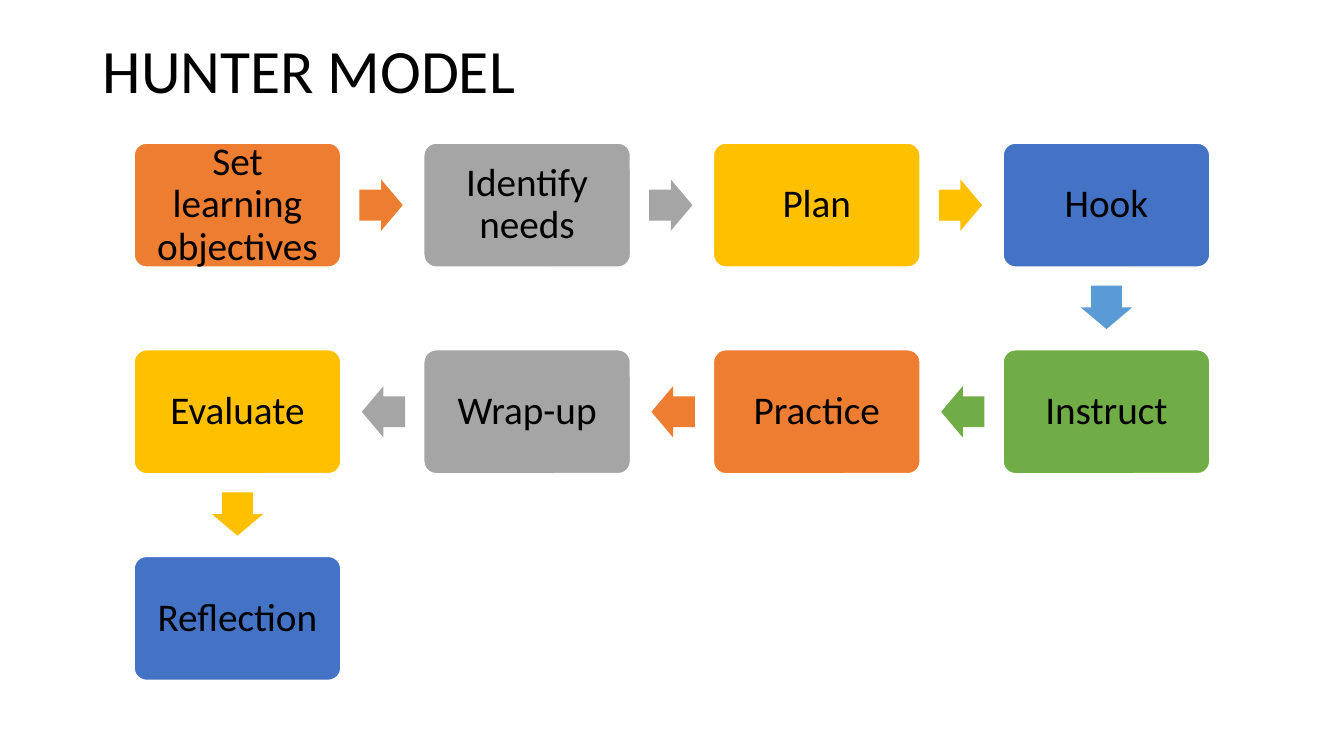
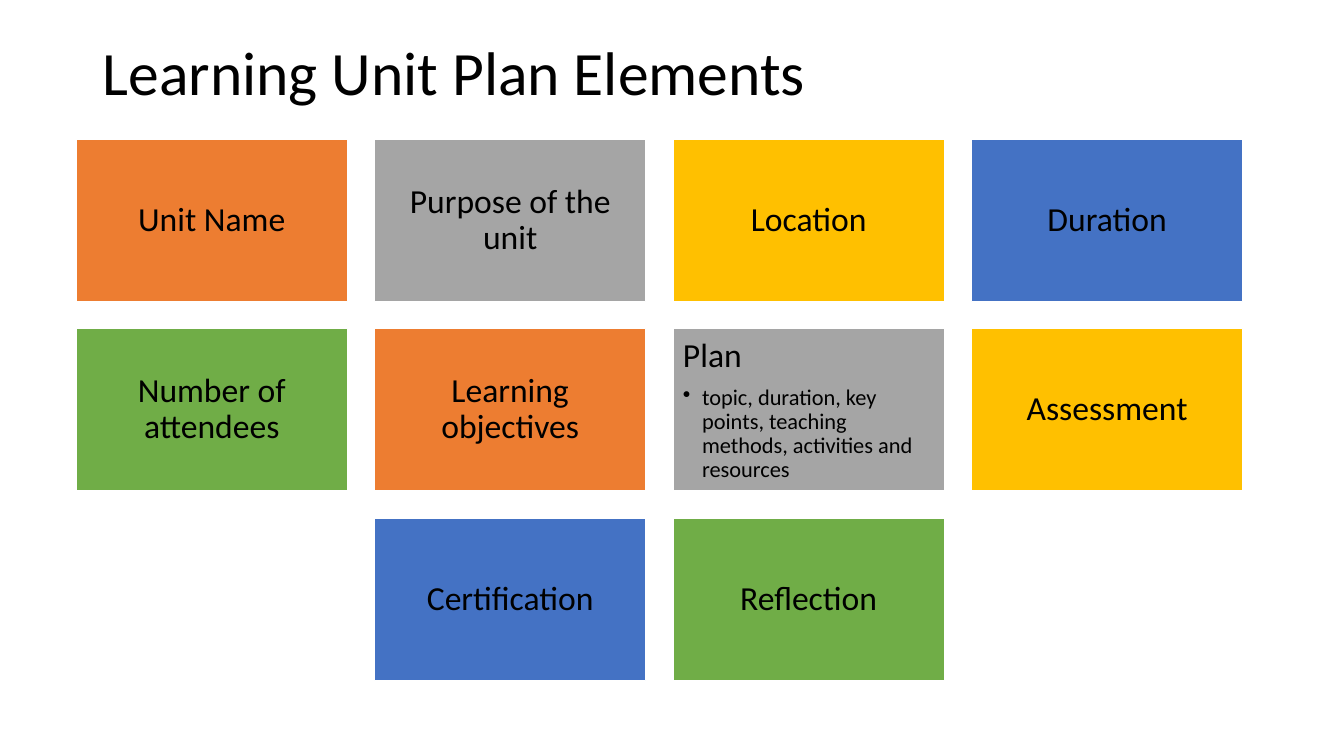
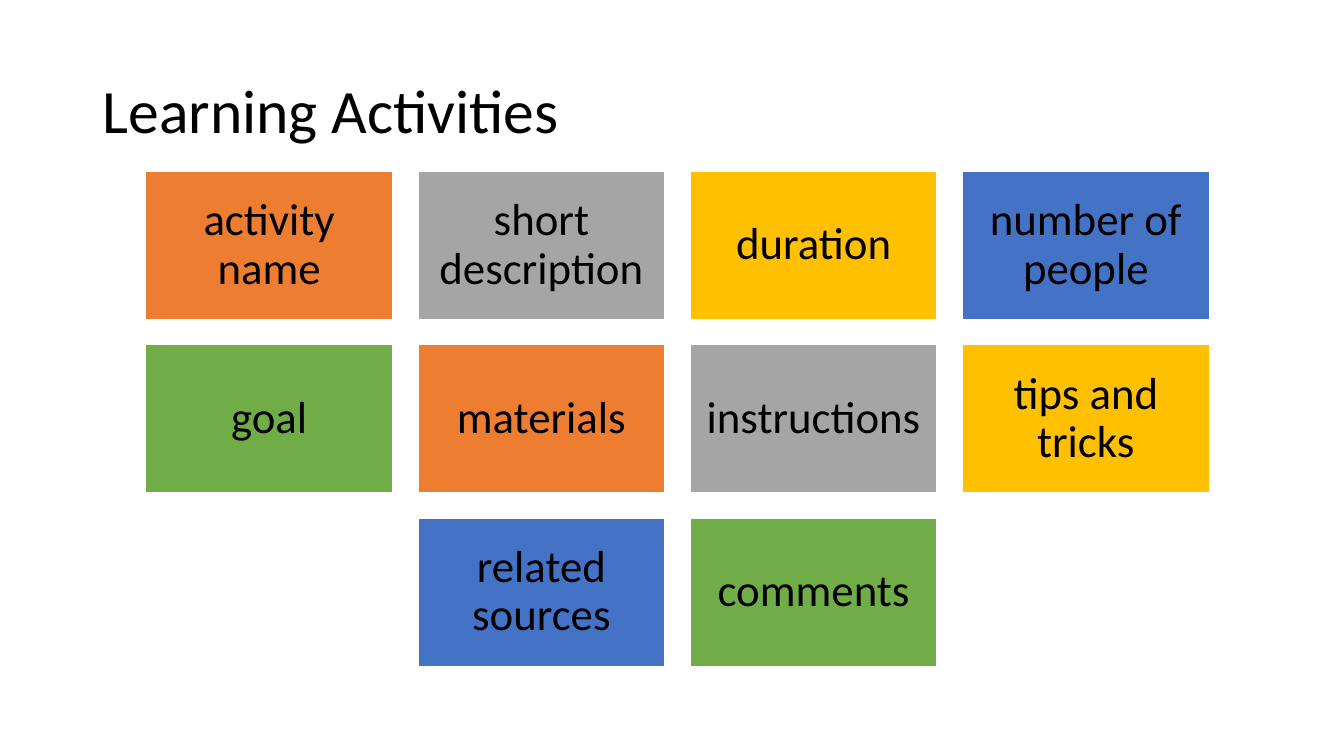
from lxml.etree import SubElement
from pptx import Presentation
from pptx.dml.color import RGBColor
from pptx.enum.shapes import MSO_SHAPE
from pptx.enum.text import MSO_ANCHOR, PP_ALIGN
from pptx.oxml.ns import qn
from pptx.util import Inches, Pt

# Shared style
ORANGE = RGBColor(0xED, 0x7D, 0x31)
GRAY = RGBColor(0xA5, 0xA5, 0xA5)
GOLD = RGBColor(0xFF, 0xC0, 0x00)
BLUE = RGBColor(0x44, 0x72, 0xC4)
GREEN = RGBColor(0x70, 0xAD, 0x47)
SKY = RGBColor(0x5B, 0x9B, 0xD5)
BLACK = RGBColor(0, 0, 0)
WHITE = RGBColor(0xFF, 0xFF, 0xFF)
CYCLE = [ORANGE, GRAY, GOLD, BLUE, GREEN]
FONT = "Calibri"
COLS = 4


def write(para, text, size=24, align=PP_ALIGN.CENTER, after=0, bullet=False):
    """Fill one paragraph with formatted text."""
    if bullet:
        props = para._p.get_or_add_pPr()
        props.set("marL", str(Inches(0.19)))
        props.set("indent", str(-Inches(0.19)))
        SubElement(props, qn("a:buChar"), char="•")
    para.alignment = align
    para.line_spacing = 0.9
    para.space_after = Pt(after)
    run = para.add_run()
    run.text = text
    run.font.name = FONT
    run.font.size = Pt(size)
    run.font.color.rgb = BLACK


class Deck:
    def __init__(self):
        self.prs = Presentation()
        self.prs.slide_width = Inches(13.33)
        self.prs.slide_height = Inches(7.5)
        self.slide = None

    def start(self, title, top):
        """Add a slide with its title."""
        self.slide = self.prs.slides.add_slide(self.prs.slide_layouts[6])
        box = self.slide.shapes.add_textbox(
            Inches(0.92), Inches(top), Inches(11.5), Inches(1.45))
        frame = box.text_frame
        frame.word_wrap = True
        frame.vertical_anchor = MSO_ANCHOR.MIDDLE
        write(frame.paragraphs[0], title, size=44, align=PP_ALIGN.LEFT)

    def shape(self, kind, left, top, width, height, fill):
        item = self.slide.shapes.add_shape(
            kind, Inches(left), Inches(top), Inches(width), Inches(height))
        item.shadow.inherit = False
        item.fill.solid()
        item.fill.fore_color.rgb = fill
        item.line.fill.background()
        return item

    def card(self, text, left, top, width, height, fill, size, inset,
             kind=MSO_SHAPE.RECTANGLE, detail=None):
        """Draw a filled box; a detail turns it into a heading with a bullet."""
        item = self.shape(kind, left, top, width, height, fill)
        item.line.color.rgb = WHITE
        item.line.width = Pt(1)
        if kind == MSO_SHAPE.ROUNDED_RECTANGLE:
            item.adjustments[0] = 0.1
        frame = item.text_frame
        frame.word_wrap = True
        frame.margin_left = frame.margin_right = Inches(inset)
        frame.margin_top = frame.margin_bottom = Inches(inset)
        first = frame.paragraphs[0]
        if detail:
            frame.vertical_anchor = MSO_ANCHOR.TOP
            write(first, text, size=size, align=PP_ALIGN.LEFT, after=8)
            write(frame.add_paragraph(), detail, size=16,
                  align=PP_ALIGN.LEFT, bullet=True)
        else:
            frame.vertical_anchor = MSO_ANCHOR.MIDDLE
            write(first, text, size=size)

    def arrow(self, mid_x, mid_y, turn, fill):
        """Draw a block arrow around its centre."""
        width, height = 0.43, 0.51
        item = self.shape(MSO_SHAPE.RIGHT_ARROW, mid_x - width / 2,
                          mid_y - height / 2, width, height, fill)
        item.adjustments[0] = 0.6
        item.adjustments[1] = 0.5
        item.rotation = turn

    def snake(self, steps):
        """Lay steps out in rows that run right, then left, joined by arrows."""
        width, height, reach = 2.05, 1.23, 0.4
        for i, text in enumerate(steps):
            row, place = divmod(i, COLS)
            back = row % 2 == 1
            col = COLS - 1 - place if back else place
            left, top = 1.33 + col * 2.873, 1.42 + row * 2.05
            fill = CYCLE[i % len(CYCLE)]
            self.card(text, left, top, width, height, fill, 28, 0.12,
                      kind=MSO_SHAPE.ROUNDED_RECTANGLE)
            if i == len(steps) - 1:
                break
            # Arrow leaves the side that faces the next step
            mid_x, mid_y = left + width / 2, top + height / 2
            if place == COLS - 1:
                tint = SKY if fill == BLUE else fill
                self.arrow(mid_x, mid_y + height / 2 + reach, 90, tint)
            else:
                way = -1 if back else 1
                self.arrow(mid_x + way * (width / 2 + reach), mid_y,
                           180 if back else 0, fill)

    def grid(self, items, mid, top, width, height, gap, size, inset,
             details=None):
        """Lay cards out in rows, each row centred on mid."""
        for i, text in enumerate(items):
            row, col = divmod(i, COLS)
            count = min(COLS, len(items) - row * COLS)
            left = mid - (count * (width + gap) - gap) / 2
            self.card(text, left + col * (width + gap),
                      top + row * (height + gap), width, height,
                      CYCLE[i % len(CYCLE)], size, inset,
                      detail=(details or {}).get(text))


def main():
    deck = Deck()

    # Teaching steps
    deck.start("HUNTER MODEL", 0)
    deck.snake(["Set learning objectives", "Identify needs", "Plan", "Hook",
                "Instruct", "Practice", "Wrap-up", "Evaluate", "Reflection"])

    # Unit plan
    deck.start("Learning Unit Plan Elements", 0.02)
    deck.grid(["Unit Name", "Purpose of the unit", "Location", "Duration",
               "Number of attendees", "Learning objectives", "Plan",
               "Assessment", "Certification", "Reflection"],
              mid=6.54, top=1.38, width=2.69, height=1.61, gap=0.27,
              size=24, inset=0.1,
              details={"Plan": "topic, duration, key points, teaching "
                               "methods, activities and resources"})

    # Activities
    deck.start("Learning Activities", 0.4)
    deck.grid(["activity name", "short description", "duration",
               "number of people", "goal", "materials", "instructions",
               "tips and tricks", "related sources", "comments"],
              mid=6.72, top=1.7, width=2.45, height=1.47, gap=0.25,
              size=32, inset=0.13)

    deck.prs.save("out.pptx")


if __name__ == "__main__":
    main()
